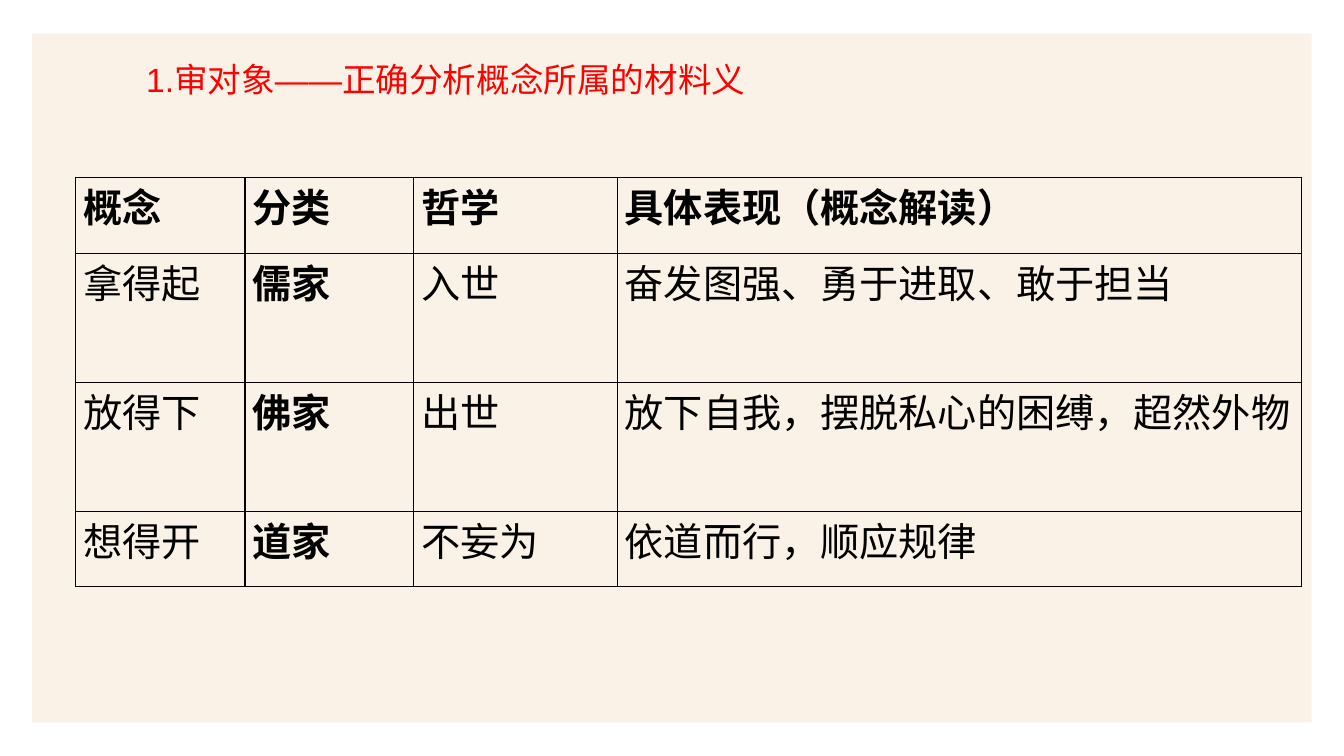
from lxml.etree import SubElement
from pptx import Presentation
from pptx.dml.color import RGBColor
from pptx.enum.shapes import MSO_SHAPE as SHAPE
from pptx.enum.text import MSO_ANCHOR as ANCHOR, MSO_AUTO_SIZE as FIT, PP_ALIGN as ALIGN
from pptx.oxml.ns import qn
from pptx.util import Pt

CJK = "Noto Sans CJK SC"
COLS = [121, 120.5, 145.5, 488.5]
ROWS = [54, 92.2, 92.2, 54]
CONCEPTS = [
    ["概念", "分类", "哲学", "具体表现（概念解读）"],
    ["拿得起", "儒家", "入世", "奋发图强、勇于进取、敢于担当"],
    ["放得下", "佛家", "出世", "放下自我，摆脱私心的困缚，超然外物"],
    ["想得开", "道家", "不妄为", "依道而行，顺应规律"],
]


def rgb(value):
    return RGBColor.from_string(value)


def write(tf, text, size=28, font=CJK, color="000000", bold=False, align=ALIGN.LEFT):
    p = tf.paragraphs[0]
    p.alignment = align
    r = p.add_run()
    r.text = text
    r.font.size, r.font.name, r.font.bold = Pt(size), font, bold
    r.font.color.rgb = rgb(color)
    SubElement(r.font._element, qn("a:ea"), typeface=font)
    return p


def add_heading(s, text, x, y, w, h):
    sp = s.shapes.title
    sp.left, sp.top, sp.width, sp.height = Pt(x), Pt(y), Pt(w), Pt(h)
    tf = sp.text_frame
    tf.word_wrap, tf.auto_size, tf.vertical_anchor = True, FIT.SHAPE_TO_FIT_TEXT, ANCHOR.TOP
    p = write(tf, text, size=24, font="Arial", color="FF0000", align=ALIGN.JUSTIFY)
    p.line_spacing, p.space_before, p.space_after = 1.2, Pt(0), Pt(5)
    pPr = p._p.get_or_add_pPr()
    pPr.set("marL", "0")
    pPr.set("indent", str(Pt(59)))


def add_panel(s, x, y, w, h, color):
    sp = s.shapes.add_shape(SHAPE.RECTANGLE, Pt(x), Pt(y), Pt(w), Pt(h))
    sp.shadow.inherit = False
    sp.fill.solid()
    sp.fill.fore_color.rgb = rgb(color)
    sp.line.fill.background()
    s.shapes.title.element.addprevious(sp.element)


def set_borders(cell, color, width):
    tcPr = cell._tc.get_or_add_tcPr()
    for side in ("lnL", "lnR", "lnT", "lnB"):
        ln = SubElement(tcPr, qn(f"a:{side}"), w=str(Pt(width)))
        fill = SubElement(ln, qn("a:solidFill"))
        SubElement(fill, qn("a:srgbClr"), val=color)


def add_grid(s, data, x, y, cols, rows):
    frame = s.shapes.add_table(len(rows), len(cols), Pt(x), Pt(y), Pt(sum(cols)), Pt(sum(rows)))
    table = frame.table
    table.first_row = table.horz_banding = False
    for col, width in zip(table.columns, cols):
        col.width = Pt(width)
    for row, height in zip(table.rows, rows):
        row.height = Pt(height)
    for i, texts in enumerate(data):
        for j, text in enumerate(texts):
            cell = table.cell(i, j)
            set_borders(cell, "080000", 1)
            cell.fill.background()
            cell.margin_left = cell.margin_right = Pt(5.4)
            cell.margin_top = cell.margin_bottom = Pt(0)
            cell.vertical_anchor = ANCHOR.TOP
            write(cell.text_frame, text, bold=i == 0 or j == 1)


def main():
    prs = Presentation()
    prs.slide_width, prs.slide_height = Pt(960), Pt(540)
    s = prs.slides.add_slide(prs.slide_layouts[5])
    add_panel(s, 23, 24, 914, 492, "FAF2E6")
    add_heading(s, "1.审对象——正确分析概念所属的材料义", 38.2, 32.4, 889.2, 41.8)
    add_grid(s, CONCEPTS, 54, 126.8, COLS, ROWS)
    prs.save("out.pptx")


if __name__ == "__main__":
    main()
